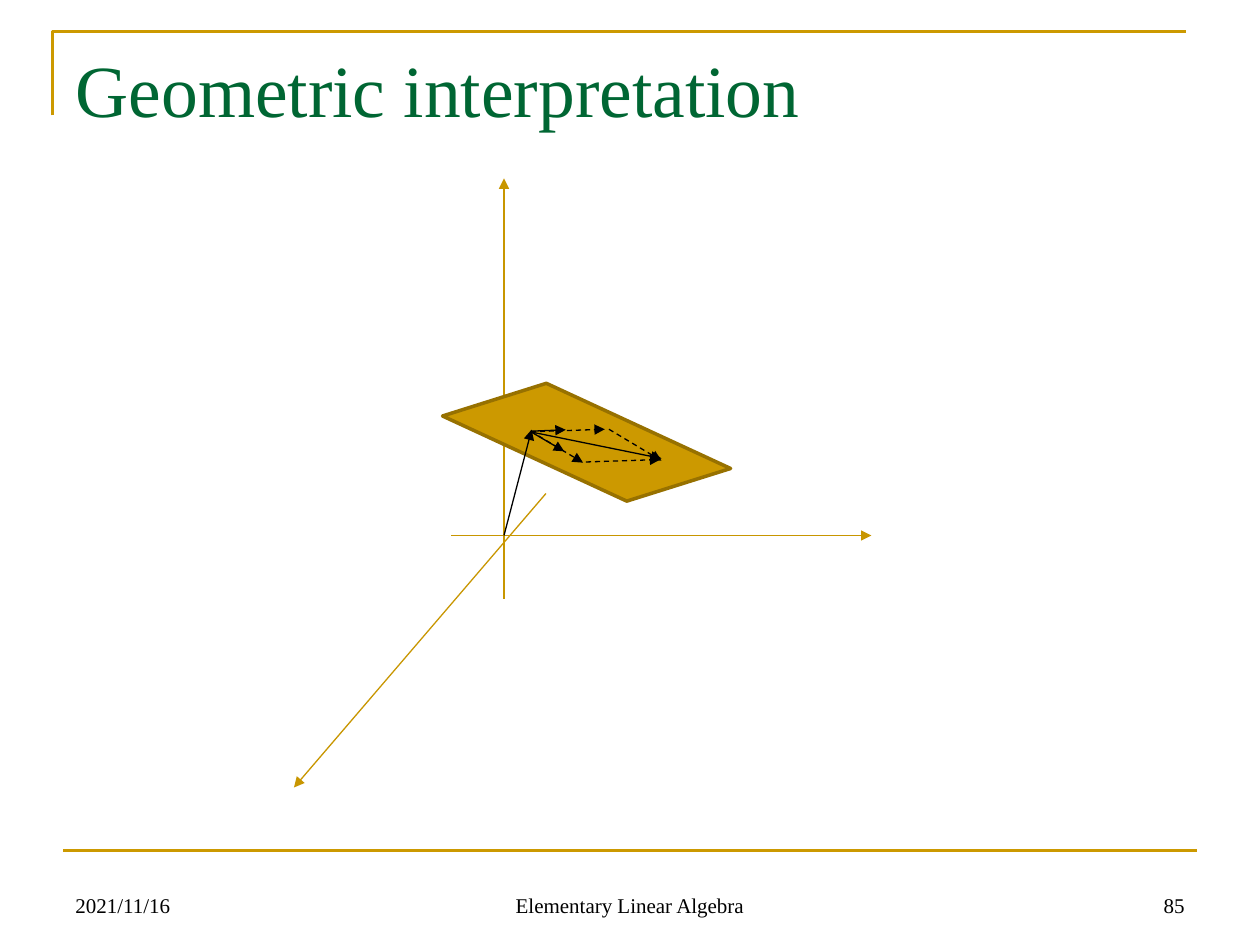
"""Build the slide on the geometric interpretation of a plane through vectors."""
from dataclasses import dataclass

from lxml.etree import SubElement
from pptx import Presentation
from pptx.dml.color import RGBColor
from pptx.enum.dml import MSO_LINE as Dash
from pptx.enum.shapes import MSO_CONNECTOR as Connector, MSO_SHAPE as Shape
from pptx.enum.text import MSO_ANCHOR as Anchor, MSO_AUTO_SIZE as AutoSize, PP_ALIGN as Align
from pptx.oxml.ns import qn
from pptx.util import Pt

GOLD, AXIS, DARK_GOLD, GREEN, BLACK = "CC9900", "C89600", "977100", "006633", "000000"


def color(value):
    return RGBColor.from_string(value)


def apply(target, values):
    for name, value in values.items():
        setattr(target, name, value)


@dataclass
class SlideBuilder:
    slide: object
    font_name: str = "Times New Roman"

    def place(self, shape, left, top, width, height):
        apply(shape, {"left": Pt(left), "top": Pt(top), "width": Pt(width), "height": Pt(height)})

    def outline(self, shape, line_color, width):
        shape.line.color.rgb = color(line_color)
        shape.line.width = Pt(width)

    def set_text(self, shape, text, size, text_color, align, anchor):
        frame = shape.text_frame
        frame.text = text
        apply(frame, {"word_wrap": True, "auto_size": AutoSize.NONE, "vertical_anchor": anchor})
        paragraph = frame.paragraphs[0]
        paragraph.alignment = align
        apply(paragraph.font, {"name": self.font_name, "size": Pt(size)})
        paragraph.font.color.rgb = color(text_color)

    def title(self, text, box):
        shape = self.slide.shapes.title
        self.place(shape, *box)
        self.set_text(shape, text, 42, GREEN, Align.LEFT, Anchor.TOP)

    def footer(self, text, left, width, align):
        shape = self.slide.shapes.add_textbox(Pt(left), Pt(492), Pt(width), Pt(36))
        self.set_text(shape, text, 12, BLACK, align, Anchor.BOTTOM)

    def line(self, start, end, line_color, width=0.75, dashed=False, arrow=True):
        connector = self.slide.shapes.add_connector(
            Connector.STRAIGHT, *(Pt(value) for value in (*start, *end)))
        self.outline(connector, line_color, width)
        if dashed:
            connector.line.dash_style = Dash.DASH
        properties = connector._element.spPr
        if arrow:
            SubElement(properties.get_or_add_ln(), qn("a:tailEnd"), type="triangle")
        SubElement(properties, qn("a:effectLst"))

    def corner(self, points):
        first, *rest = [(Pt(x), Pt(y)) for x, y in points]
        builder = self.slide.shapes.build_freeform(*first)
        builder.add_line_segments(rest, close=False)
        shape = builder.convert_to_shape()
        shape.shadow.inherit = False
        shape.fill.background()
        self.outline(shape, GOLD, 1.5)

    def plane(self, box, rotation, slant):
        shape = self.slide.shapes.add_shape(Shape.PARALLELOGRAM, *(Pt(value) for value in box))
        shape.adjustments[0] = slant
        shape.rotation = rotation
        shape.shadow.inherit = False
        shape.fill.solid()
        shape.fill.fore_color.rgb = color(GOLD)
        self.outline(shape, DARK_GOLD, 2)


def main():
    presentation = Presentation()
    apply(presentation, {"slide_width": Pt(720), "slide_height": Pt(540)})
    builder = SlideBuilder(presentation.slides.add_slide(presentation.slide_layouts[5]))

    builder.corner([(30, 66), (30, 18), (678, 18)])
    builder.line((36, 486), (684, 486), GOLD, width=1.5, arrow=False)
    builder.title("Geometric interpretation", (36, 21.6, 648, 90))
    for text, left, width, align in (
        ("2021/11/16", 36, 168, Align.LEFT),
        ("Elementary Linear Algebra", 246, 228, Align.CENTER),
        ("85", 516, 168, Align.RIGHT),
    ):
        builder.footer(text, left, width, align)

    axes = [((258, 306), (498, 306)), ((288, 342), (288, 102)), ((312, 282), (168, 450))]
    for start, end in axes:
        builder.line(start, end, AXIS)

    builder.plane((254.2, 231.8, 162, 41.8), 24.8, 1.101)
    vectors = [
        ((288, 306), (303.8, 245.5), False),
        ((303.3, 246.7), (345.6, 245.3), True),
        ((303.3, 246.4), (333.2, 264.4), True),
        ((303.8, 246.9), (378, 262), False),
        ((303.3, 246.7), (322.4, 257.9), False),
        ((303.3, 246.4), (323.3, 245.6), False),
        ((334.8, 264), (377.3, 262.6), True),
        ((348, 245.3), (378, 263.3), True),
    ]
    for start, end, dashed in vectors:
        builder.line(start, end, BLACK, dashed=dashed)

    presentation.save("out.pptx")


if __name__ == "__main__":
    main()
